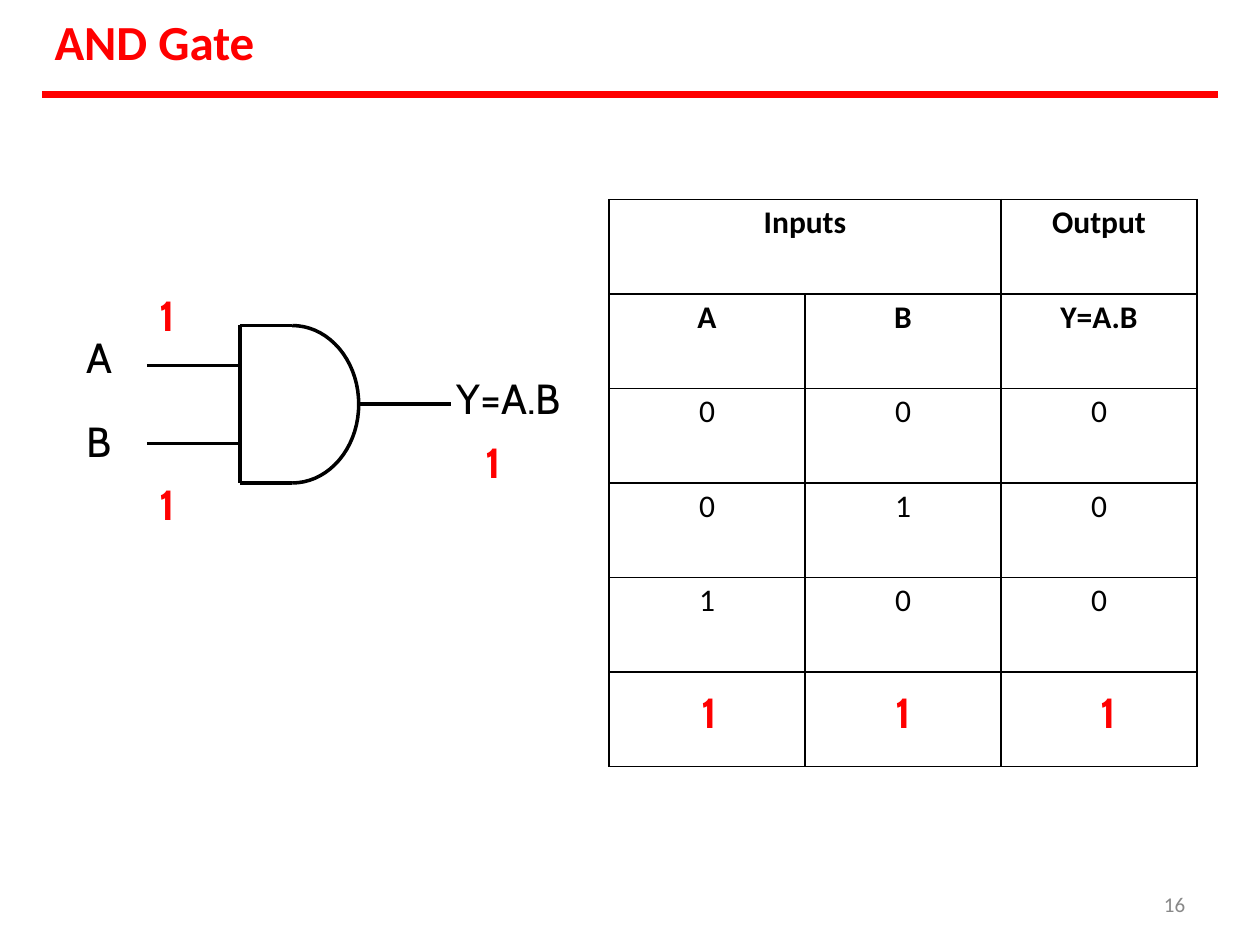
from math import cos, pi, sin

from lxml.etree import SubElement
from pptx import Presentation
from pptx.dml.color import RGBColor
from pptx.enum.shapes import MSO_CONNECTOR
from pptx.enum.text import MSO_AUTO_SIZE, PP_ALIGN
from pptx.oxml import parse_xml
from pptx.oxml.ns import nsdecls, qn
from pptx.util import Pt

COLORS = {"red": "FF0000", "black": "000000", "gray": "888888"}

# Gate geometry in points
GATE_LEFT, GATE_TOP, GATE_BOTTOM = 137, 186, 276
ARC_START, ARC_WIDTH = 167, 38
GATE_MIDDLE = (GATE_TOP + GATE_BOTTOM) / 2
GATE_RIGHT = ARC_START + ARC_WIDTH
WIRE = 53
INPUT_LEVELS = (208.8, 253.4)

# from x, from y, to x, to y, color, width
LINES = [
    (24, 54, 696, 54, "red", 4),
    (GATE_LEFT, GATE_TOP, GATE_LEFT, GATE_BOTTOM, "black", 2),
    (GATE_LEFT, GATE_TOP, ARC_START, GATE_TOP, "black", 2),
    (GATE_LEFT, GATE_BOTTOM, ARC_START, GATE_BOTTOM, "black", 2),
    *[(GATE_LEFT - WIRE, y, GATE_LEFT, y, "black", 2) for y in INPUT_LEVELS],
    (GATE_RIGHT, GATE_MIDDLE, GATE_RIGHT + WIRE, GATE_MIDDLE, "black", 2),
]

# Each paragraph: text, font, size, color, bold, left indent, space before
TEXTS = [
    {"at": (30.2, 5.8, 118, 36), "top": 1,
     "paras": [("AND Gate", "Calibri", 28, "red", True, 1, 0)]},
    {"at": (48.2, 188.6, 17, 79), "top": 1,
     "paras": [("A", "Cabin", 24, "black", False, 1, 0),
               ("B", "Cabin", 24, "black", False, 1, 19.2)]},
    {"at": (90, 164.2, 17, 31), "top": 1,
     "paras": [("1", "Cabin", 24, "red", True, 1, 0)]},
    {"at": (90, 272.2, 17, 31), "top": 1,
     "paras": [("1", "Cabin", 24, "red", True, 1, 0)]},
    {"at": (259.9, 204.5, 69, 75), "top": 8.6,
     "paras": [("Y=A.B", "Cabin", 24, "black", False, 1, 0),
               ("1", "Cabin", 24, "red", True, 17.3, 7.5)]},
    {"at": (663.1, 509, 16, 14), "top": 0, "spacing": 1.03,
     "paras": [("16", "Calibri", 12, "gray", False, 2, 0)]},
]

TRUTH_TABLE = [
    ("Inputs", "", "Output"),
    ("A", "B", "Y=A.B"),
    ("0", "0", "0"),
    ("0", "1", "0"),
    ("1", "0", "0"),
    ("1", "1", "1"),
]
HEADER_ROWS = 2
TABLE_LEFT, TABLE_TOP, COLUMN_WIDTH, ROW_HEIGHT = 348, 114, 112, 54
RESULT_INDENTS = (2, 0, 10)


def style_font(font, name, size, color, bold):
    font.name, font.size, font.bold = name, Pt(size), bold
    font.color.rgb = RGBColor.from_string(COLORS[color])


def add_line(page, x1, y1, x2, y2, color, width):
    line = page.shapes.add_connector(
        MSO_CONNECTOR.STRAIGHT, Pt(x1), Pt(y1), Pt(x2), Pt(y2))
    line.line.color.rgb = RGBColor.from_string(COLORS[color])
    line.line.width = Pt(width)
    SubElement(line._element.spPr, qn("a:effectLst"))


def add_gate_arc(page, steps=36):
    """Draw the right half of an ellipse as the rounded end of the gate."""
    radius = (GATE_BOTTOM - GATE_TOP) / 2
    angles = [pi * step / steps - pi / 2 for step in range(steps + 1)]
    points = [(Pt(ARC_START + ARC_WIDTH * cos(a)), Pt(GATE_MIDDLE + radius * sin(a)))
              for a in angles]
    builder = page.shapes.build_freeform(*points[0])
    builder.add_line_segments(points[1:], close=False)
    arc = builder.convert_to_shape()
    arc.shadow.inherit = False
    arc.fill.background()
    arc.line.color.rgb = RGBColor.from_string(COLORS["black"])
    arc.line.width = Pt(2)


def add_text(page, at, top, paras, spacing=None):
    box = page.shapes.add_textbox(*map(Pt, at))
    frame = box.text_frame
    frame.word_wrap = True
    frame.auto_size = MSO_AUTO_SIZE.SHAPE_TO_FIT_TEXT
    frame.margin_left = frame.margin_right = frame.margin_bottom = 0
    frame.margin_top = Pt(top)
    for index, (text, name, size, color, bold, indent, before) in enumerate(paras):
        para = frame.add_paragraph() if index else frame.paragraphs[0]
        para.text = text
        para.space_before = Pt(before)
        para.line_spacing = spacing
        para._p.get_or_add_pPr().set("marL", str(Pt(indent)))
        style_font(para.font, name, size, color, bold)


def add_borders(cell):
    properties = cell._tc.get_or_add_tcPr()
    for side in ("lnL", "lnR", "lnT", "lnB"):
        properties.append(parse_xml(
            f'<a:{side} {nsdecls("a")} w="{Pt(1)}"><a:solidFill>'
            f'<a:srgbClr val="{COLORS["black"]}"/></a:solidFill></a:{side}>'))


def add_truth_table(page):
    rows, columns = len(TRUTH_TABLE), len(TRUTH_TABLE[0])
    table = page.shapes.add_table(
        rows, columns, Pt(TABLE_LEFT), Pt(TABLE_TOP),
        Pt(columns * COLUMN_WIDTH), Pt(rows * ROW_HEIGHT)).table
    table.first_row = table.horz_banding = False
    table.cell(0, 0).merge(table.cell(0, 1))
    for row, texts in enumerate(TRUTH_TABLE):
        is_result = row == rows - 1
        for column, text in enumerate(texts):
            cell = table.cell(row, column)
            add_borders(cell)
            cell.fill.background()
            cell.margin_left = Pt(RESULT_INDENTS[column] if is_result else 0)
            cell.margin_right = cell.margin_bottom = 0
            cell.margin_top = Pt(9.4 if is_result else 2.4)
            para = cell.text_frame.paragraphs[0]
            para.text = text
            para.alignment = PP_ALIGN.CENTER
            if is_result:
                style_font(para.font, "Cabin", 24, "red", True)
            else:
                style_font(para.font, "Calibri", 18, "black", row < HEADER_ROWS)


def main():
    deck = Presentation()
    deck.slide_width, deck.slide_height = Pt(720), Pt(540)
    page = deck.slides.add_slide(deck.slide_layouts[6])
    for line in LINES:
        add_line(page, *line)
    add_gate_arc(page)
    add_truth_table(page)
    for text in TEXTS:
        add_text(page, **text)
    deck.save("out.pptx")


if __name__ == "__main__":
    main()
